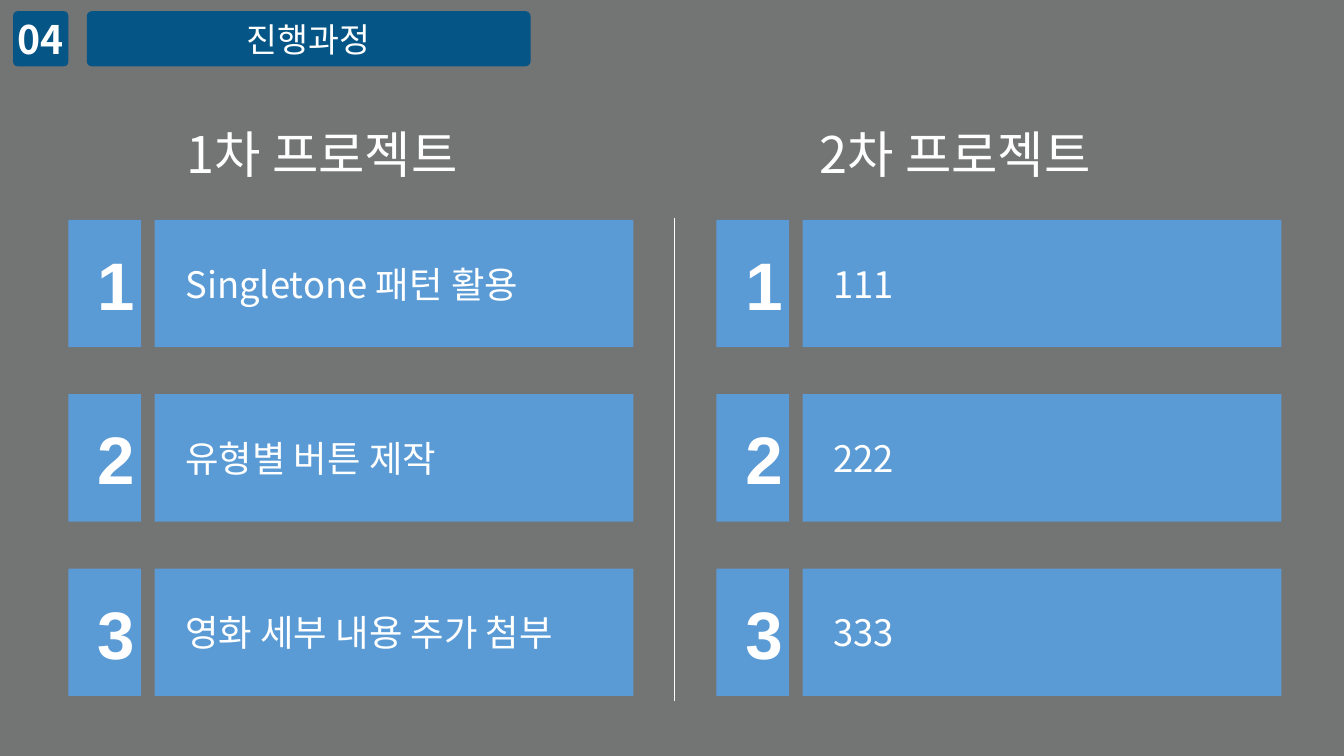
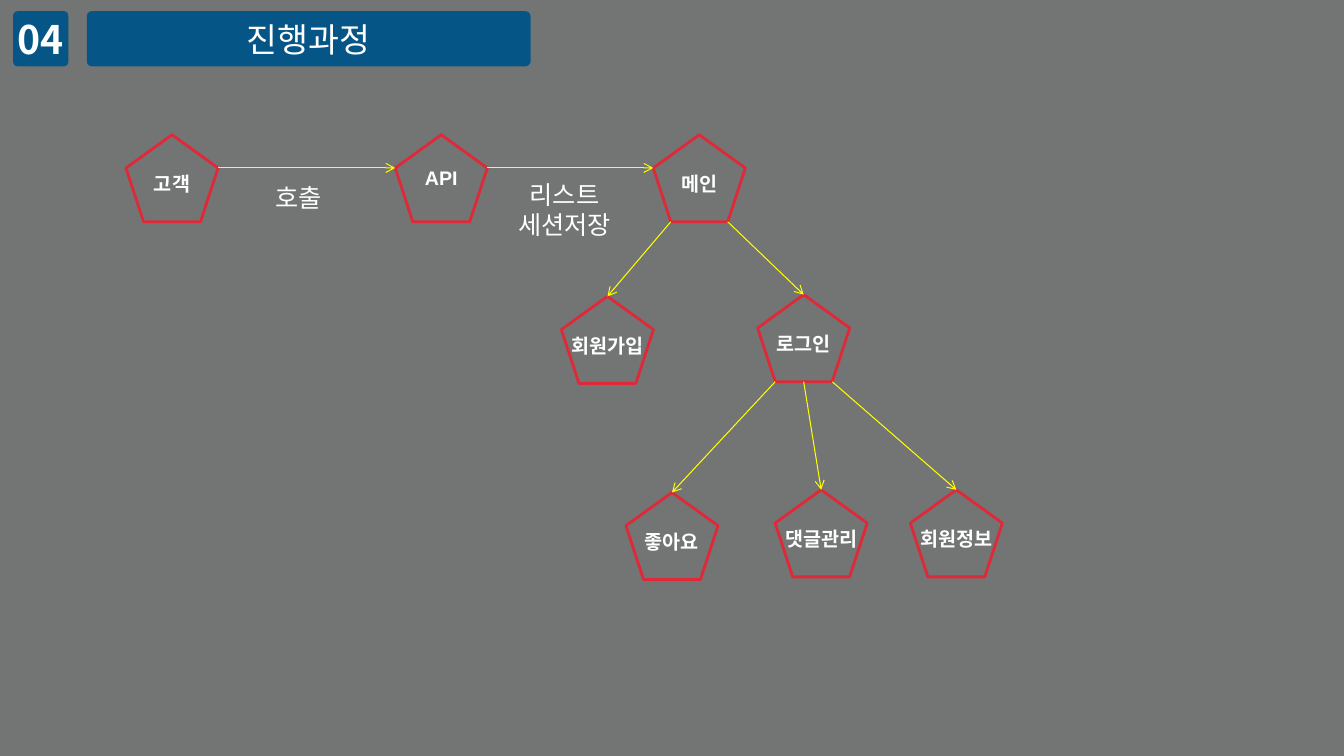
from dataclasses import dataclass

from lxml import etree
from pptx import Presentation
from pptx import util as u
from pptx.dml.color import RGBColor
from pptx.enum import shapes, text
from pptx.oxml import ns

KIND = shapes.MSO_SHAPE
MID, LEFT = text.PP_ALIGN.CENTER, text.PP_ALIGN.LEFT


@dataclass(frozen=True)
class Theme:
    back: str = "E8E9E9"
    veil: str = "000000"
    band: str = "055586"
    card: str = "5B9BD5"
    ink: str = "FFFFFF"
    edge: str = "DF2938"
    flow: str = "FFFF00"
    sans: str = "Noto Sans CJK KR"
    head: str = "Noto Sans CJK SC"
    num: str = "Arial"
    badge: int = 28
    title: int = 24
    digit: int = 48
    item: int = 26
    topic: int = 36
    node: int = 14
    note: int = 18


class Deck:
    def __init__(self, look):
        self.look = look
        self.prs = Presentation()
        self.prs.slide_width, self.prs.slide_height = u.Pt(960), u.Pt(540)
        self.paint(self.prs.slide_master.background.fill, look.back)

    def paint(self, fill, color):
        fill.solid()
        fill.fore_color.rgb = RGBColor.from_string(color)

    def page(self, number, title):
        look = self.look
        self.slide = self.prs.slides.add_slide(self.prs.slide_layouts[5])
        veil = self.shape(KIND.RECTANGLE, (0, 0, 960, 540), look.veil)
        color = veil.element.spPr.find(".//" + ns.qn("a:srgbClr"))
        etree.SubElement(color, ns.qn("a:alpha"), val="50000")
        badge = self.shape(KIND.ROUNDED_RECTANGLE, (9.4, 8, 39.4, 39.4), look.band)
        badge.adjustments[0] = 0.08
        self.letter(badge, number, look.badge, look.head, bold=True)
        area = (62, 8, 317, 39.4)
        band = self.shape(KIND.ROUNDED_RECTANGLE, area, look.band)
        band.adjustments[0] = 0.09
        head = self.slide.shapes.title
        self.place(head, area)
        self.letter(head, title, look.title, look.head)
        band.element.addnext(head.element)

    def place(self, item, area):
        for name, size in zip(("left", "top", "width", "height"), area):
            setattr(item, name, u.Pt(size))

    def shape(self, kind, area, fill=None, edge=None):
        item = self.slide.shapes.add_shape(kind, *map(u.Pt, area))
        item.shadow.inherit = False
        if fill:
            self.paint(item.fill, fill)
        else:
            item.fill.background()
        if edge:
            self.paint(item.line.fill, edge)
            item.line.width = u.Pt(2)
        else:
            item.line.fill.background()
        return item

    def letter(self, item, words, size, face, bold=False, align=MID,
               pad=(0, 0, 0, 0), wrap=True):
        frame = item.text_frame
        frame.text = words
        form = dict(zip(("margin_left", "margin_top", "margin_right",
                         "margin_bottom"), map(u.Pt, pad)))
        form |= {"word_wrap": wrap, "auto_size": text.MSO_AUTO_SIZE.NONE,
                 "vertical_anchor": text.MSO_ANCHOR.MIDDLE}
        for name, value in form.items():
            setattr(frame, name, value)
        style = {"name": face, "size": u.Pt(size), "bold": bold}
        for para in frame.paragraphs:
            para.alignment = align
            for run in para.runs:
                for name, value in style.items():
                    setattr(run.font, name, value)
                run.font.color.rgb = RGBColor.from_string(self.look.ink)
        asian = self.look.sans if face == self.look.num else face
        for latin in list(item.element.iter(ns.qn("a:latin"))):
            latin.addnext(etree.Element(ns.qn("a:ea"), typeface=asian))

    def label(self, words, area, size, face, align=MID):
        box = self.slide.shapes.add_textbox(*map(u.Pt, area))
        self.letter(box, words, size, face, align=align)

    def line(self, start, end, color, width, arrow=False):
        link = self.slide.shapes.add_connector(
            shapes.MSO_CONNECTOR.STRAIGHT, *map(u.Pt, (*start, *end)))
        self.paint(link.line.fill, color)
        link.line.width = u.Pt(width)
        props = link.element.spPr
        if arrow:
            etree.SubElement(props.find(ns.qn("a:ln")),
                             ns.qn("a:tailEnd"), type="arrow")
        etree.SubElement(props, ns.qn("a:effectLst"))
        return link

    def card(self, left, top, number, words):
        look = self.look
        tile = self.shape(KIND.RECTANGLE, (left, top, 52, 91), look.card)
        self.letter(tile, number, look.digit, look.num, bold=True,
                    pad=(16, 0, 0, 0))
        bar = self.shape(KIND.RECTANGLE, (left + 61.6, top, 342, 91), look.card)
        self.letter(bar, words, look.item, look.sans, align=LEFT,
                    pad=(22, 0, 0, 0))

    def node(self, words, left, top, lift=7):
        look = self.look
        item = self.shape(KIND.REGULAR_PENTAGON, (left, top, 65.8, 62.2),
                          edge=look.edge)
        self.letter(item, words, look.node, look.num, bold=True,
                    pad=(0, 0, 0, lift), wrap=False)
        return item

    def link(self, start, port, end, goal="top"):
        ports = {"top": (0.5, 0), "left": (0, 0.38), "right": (1, 0.38),
                 "low left": (0.19, 1), "low": (0.5, 1), "low right": (0.81, 1)}

        def spot(item, name):
            across, down = ports[name]
            return (u.Emu(item.left + item.width * across).pt,
                    u.Emu(item.top + item.height * down).pt)

        link = self.line(spot(start, port), spot(end, goal),
                         self.look.flow, 0.75, arrow=True)
        if goal == "top":
            link.end_connect(end, 0)


def steps(deck):
    look = deck.look
    deck.page("04", "진행과정")
    deck.line((482, 155.5), (482, 501), look.ink, 0.5)
    plans = [
        ("1차 프로젝트", 133.2,
         ["Singletone 패턴 활용", "유형별 버튼 제작", "영화 세부 내용 추가 첨부"]),
        ("2차 프로젝트", 585.4, ["111", "222", "333"]),
    ]
    for col, (topic, left, items) in enumerate(plans):
        deck.label(topic, (left, 84, 225, 51), look.topic, look.sans, LEFT)
        for row, words in enumerate(items):
            deck.card(48.8 + col * 463, 157 + row * 124.6, str(row + 1), words)


def flow(deck):
    look = deck.look
    deck.page("04", "진행과정")
    spots = {
        "고객": (90, 96.3), "API": (282.3, 96.3, 16), "메인": (466.6, 96.3),
        "회원가입": (401, 211.7), "로그인": (541.2, 210.5),
        "좋아요": (447.1, 351.8), "댓글관리": (553.7, 349.9),
        "회원정보": (650.2, 349.9),
    }
    nodes = {words: deck.node(words, *spot) for words, spot in spots.items()}
    links = [
        ("고객", "right", "API", "left"), ("API", "right", "메인", "left"),
        ("메인", "low left", "회원가입"), ("메인", "low right", "로그인"),
        ("로그인", "low left", "좋아요"), ("로그인", "low", "댓글관리"),
        ("로그인", "low right", "회원정보"),
    ]
    for start, port, end, *goal in links:
        deck.link(nodes[start], port, nodes[end], *goal)
    deck.label("호출", (143.3, 126.7, 139.7, 29), look.note, look.num)
    deck.label("리스트\n세션저장", (333.4, 124, 139.7, 51), look.note, look.num)


def main():
    deck = Deck(Theme())
    steps(deck)
    flow(deck)
    deck.prs.save("out.pptx")


if __name__ == "__main__":
    main()
